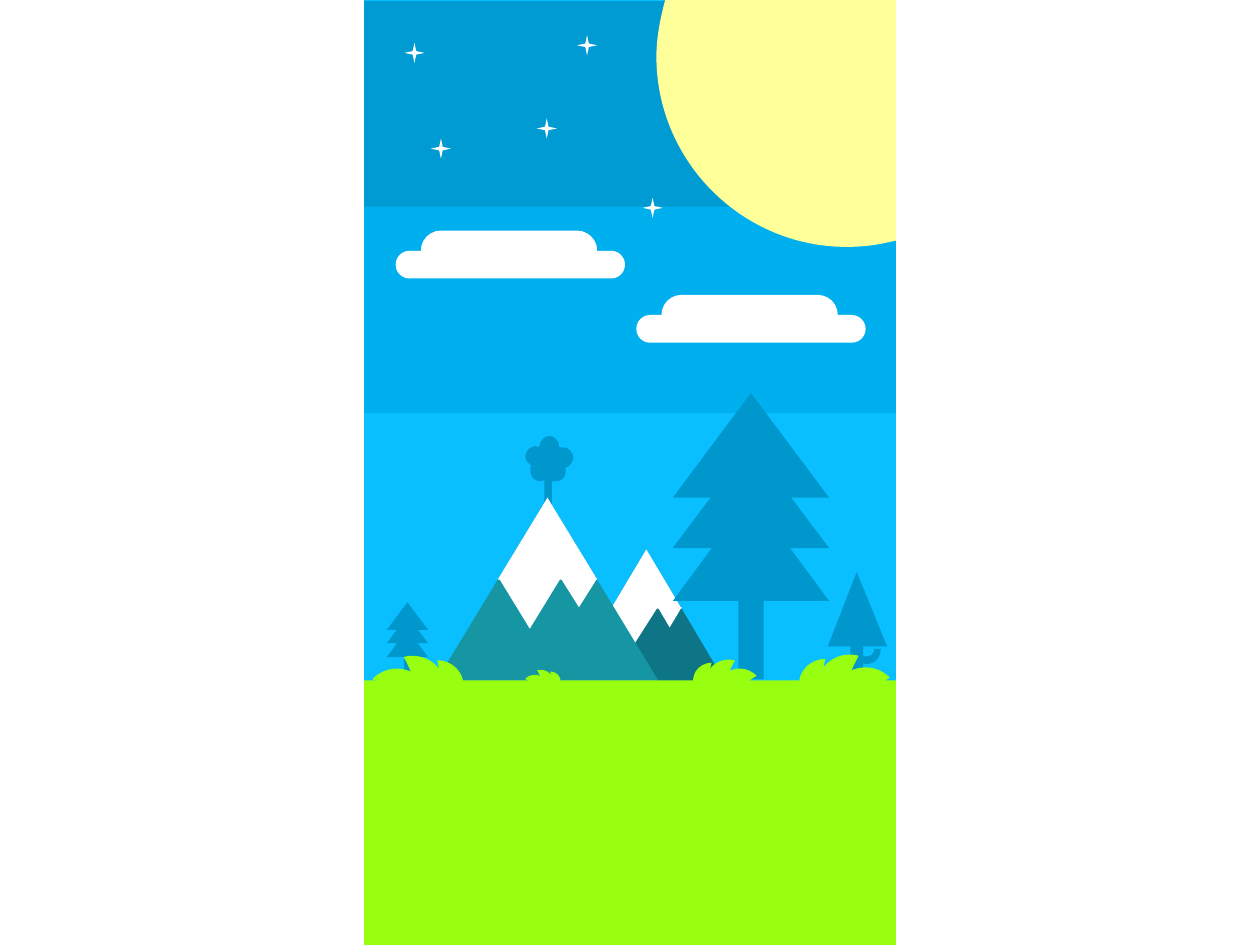
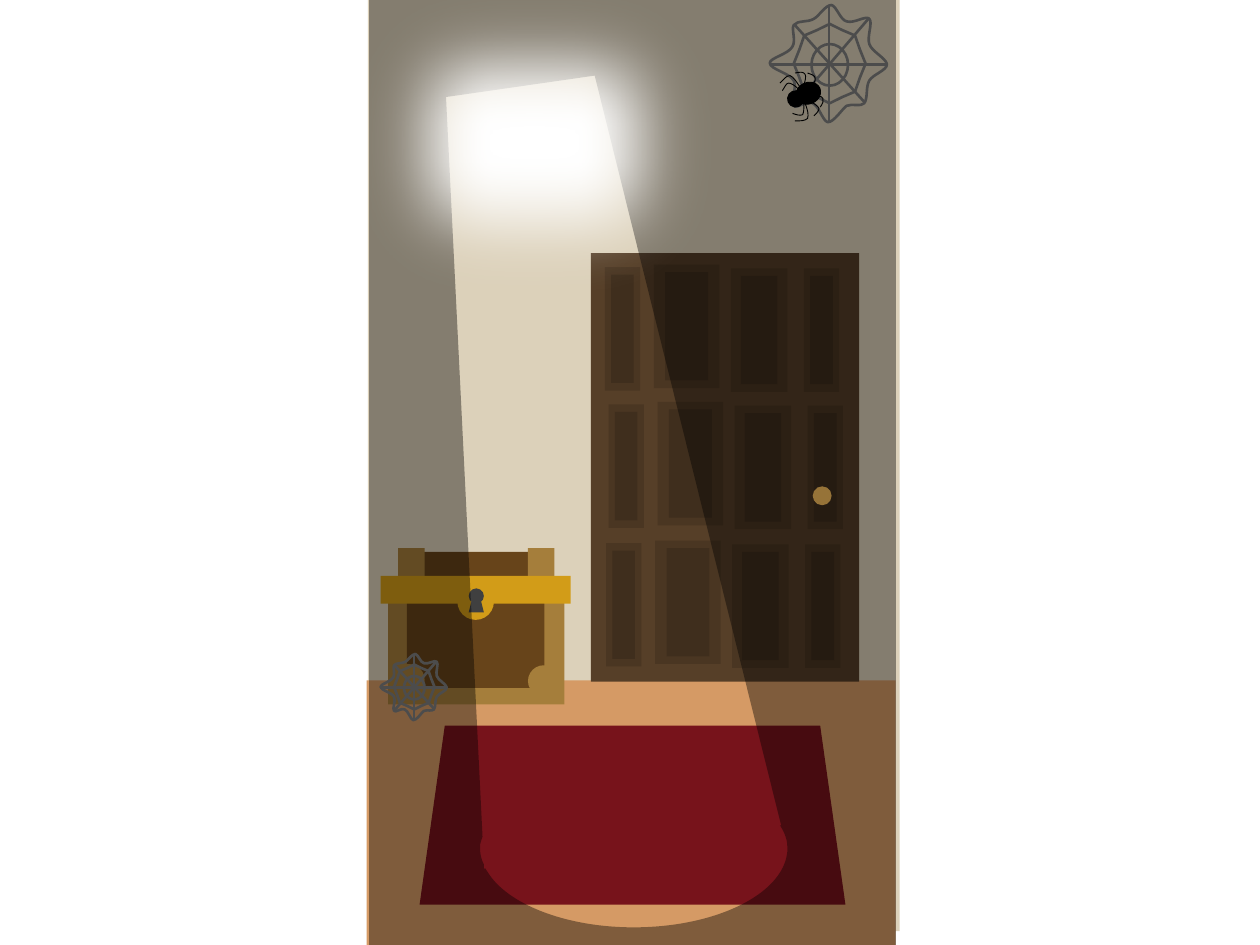
from dataclasses import dataclass

from lxml import etree
from pptx import Presentation
from pptx.dml.color import RGBColor
from pptx.enum.shapes import MSO_CONNECTOR, MSO_SHAPE
from pptx.oxml.ns import qn
from pptx.util import Cm, Pt

RECTANGLE = MSO_SHAPE.RECTANGLE
ROUNDED = MSO_SHAPE.ROUNDED_RECTANGLE
TRIANGLE = MSO_SHAPE.ISOSCELES_TRIANGLE
TRAPEZOID = MSO_SHAPE.TRAPEZOID
OVAL = MSO_SHAPE.OVAL
MOON = MSO_SHAPE.MOON
STAR_4 = MSO_SHAPE.STAR_4_POINT
STAR_8 = MSO_SHAPE.STAR_8_POINT
STRAIGHT = MSO_CONNECTOR.STRAIGHT

BLANK_LAYOUT = 6
GRID = 2.54  # centimetres in one drawing unit


@dataclass(frozen=True)
class Theme:
    white: str = "FFFFFF"
    black: str = "000000"
    # Meadow
    sky_low: str = "09BFFF"
    sky_high: str = "009BD2"
    sky_middle: str = "00B0EE"
    silhouette: str = "0097CC"
    mountain_near: str = "1696A3"
    mountain_far: str = "0E7586"
    grass: str = "99FF11"
    sun: str = "FFFF99"
    # Room
    wall: str = "DCD1BA"
    floor: str = "D59A65"
    door: str = "563F28"
    panel: str = "4A3622"
    panel_inner: str = "3F2E1D"
    knob: str = "FBC05E"
    rug: str = "77131B"
    chest: str = "67441A"
    chest_trim: str = "A57E3B"
    gold: str = "D29C18"
    keyhole: str = "404040"
    web: str = "808080"
    # Line weights in points
    web_weight: float = 1.5
    spider_weight: float = 0.5


THEME = Theme()


def length(units):
    return Cm(units * GRID)


def scaled(outline, left, top, scale):
    """Place an outline drawn from (0, 0) at a position and size."""
    return [tuple(value * scale + (top if index % 2 else left)
                  for index, value in enumerate(step)) for step in outline]


def bend(shape, steps):
    """Turn the segments whose step has 6 numbers into Bézier curves."""
    segments = [node for node in shape._element.iter(qn("a:moveTo"), qn("a:lnTo"))]
    for segment, step in zip(segments, steps):
        if len(step) == 6:
            curve = etree.Element(qn("a:cubicBezTo"))
            for x, y in zip(step[::2], step[1::2]):
                point = etree.SubElement(curve, qn("a:pt"))
                point.set("x", str(length(x) - shape.left))
                point.set("y", str(length(y) - shape.top))
            segment.getparent().replace(segment, curve)


class Scene:
    def __init__(self, presentation, theme):
        self.presentation = presentation
        self.theme = theme
        self.shapes = None

    def new_slide(self):
        slide = self.presentation.slides.add_slide(
            self.presentation.slide_layouts[BLANK_LAYOUT])
        self.shapes = slide.shapes.add_group_shape().shapes

    def style(self, shape, fill, line, weight):
        shape.shadow.inherit = False
        if fill:
            shape.fill.solid()
            shape.fill.fore_color.rgb = RGBColor.from_string(fill)
        else:
            shape.fill.background()
        if line:
            shape.line.color.rgb = RGBColor.from_string(line)
            shape.line.width = Pt(weight)
        else:
            shape.line.fill.background()

    def shape(self, kind, box, fill=None, line=None, weight=1.0,
              adjust=None, rotation=0, flip=None):
        shape = self.shapes.add_shape(kind, *map(length, box))
        self.style(shape, fill, line, weight)
        if adjust is not None:
            shape.adjustments[0] = adjust
        shape.rotation = rotation
        if flip:
            shape._element.spPr.find(qn("a:xfrm")).set(flip, "1")
        return shape

    def outline(self, *contours, fill=None, line=None, weight=1.0, close=True):
        """Draw contours made of steps: 2 numbers for a line, 6 for a curve."""
        paths = [[tuple(map(length, step[-2:])) for step in contour]
                 for contour in contours]
        builder = self.shapes.build_freeform(*paths[0][0], scale=1.0)
        builder.add_line_segments(paths[0][1:], close=close)
        for path in paths[1:]:
            builder.move_to(*path[0])
            builder.add_line_segments(path[1:], close=close)
        shape = builder.convert_to_shape()
        bend(shape, [step for contour in contours for step in contour])
        self.style(shape, fill, line, weight)
        return shape

    def line(self, start, end, color, weight):
        connector = self.shapes.add_connector(STRAIGHT, *map(length, start + end))
        connector.line.color.rgb = RGBColor.from_string(color)
        connector.line.width = Pt(weight)
        etree.SubElement(connector._element.spPr, qn("a:effectLst"))

    def set_opacity(self, shape, percent):
        color = shape._element.spPr.find(qn("a:solidFill"))[0]
        etree.SubElement(color, qn("a:alpha")).set("val", str(percent * 1000))

    def soften(self, shape, radius):
        effects = shape._element.spPr.find(qn("a:effectLst"))
        etree.SubElement(effects, qn("a:softEdge")).set("rad", str(length(radius)))

    # Things that repeat
    def pine(self, left, top, scale):
        self.outline(scaled(PINE, left, top, scale), fill=self.theme.silhouette)

    def mountain(self, body, color, cap, teeth):
        self.shape(TRIANGLE, body, color)
        self.shape(TRIANGLE, cap, self.theme.white)
        for tooth in teeth:
            self.shape(TRIANGLE, tooth, self.theme.white, flip="flipV")

    def bush(self, edge, top, scale, mirrored=False):
        for offset, rise, width, height, angle in BLADES:
            left = edge + offset * scale
            if mirrored:
                left = edge - (offset + width) * scale
            self.shape(MOON, (left, top - rise * scale, width * scale, height * scale),
                       self.theme.grass, adjust=0.875,
                       rotation=360 - angle if mirrored else angle,
                       flip="flipH" if mirrored else None)

    def cloud(self, left, top):
        for box in ((left, top, 1.82, 0.22), (left + 0.2, top - 0.16, 1.4, 0.32)):
            self.shape(ROUNDED, box, self.theme.white, adjust=0.5)

    def web(self, left, top, scale):
        pen = {"line": self.theme.web, "weight": self.theme.web_weight}
        rings = ((STAR_8, (0.19, 0.15), (0.57, 0.63), 0.457),
                 (OVAL, (0.33, 0.31), (0.29, 0.33), None))
        for kind, corner, size, adjust in rings:
            box = scaled([corner], left, top, scale)[0] + tuple(s * scale for s in size)
            self.shape(kind, box, adjust=adjust, **pen)
        for spoke in WEB_SPOKES:
            start, end = scaled(spoke, left, top, scale)
            self.line(start, end, self.theme.web, self.theme.web_weight)
        self.outline(scaled(WEB_EDGE, left, top, scale), **pen)


PINE = [(0.62, 0), (1.24, 0.83), (0.94, 0.83), (1.24, 1.23), (0.93, 1.23),
        (1.24, 1.65), (0.72, 1.65), (0.72, 2.27), (0.52, 2.27), (0.52, 1.65),
        (0, 1.65), (0.31, 1.23), (0, 1.23), (0.3, 0.83), (0, 0.83)]

# Offset, rise, width, height, angle
BLADES = [(0, 0, 0.21, 0.41, 0), (0.14, 0.07, 0.27, 0.54, 15),
          (0.3, 0.03, 0.27, 0.54, 45.8)]

SMOKE = [
    (4.36, 3.46), (4.4, 3.46, 4.44, 3.5, 4.44, 3.55), (4.47, 3.55),
    (4.51, 3.55, 4.55, 3.59, 4.55, 3.63), (4.55, 3.66, 4.53, 3.69, 4.5, 3.71),
    (4.48, 3.71), (4.49, 3.72), (4.49, 3.73, 4.49, 3.73, 4.49, 3.74),
    (4.49, 3.79, 4.46, 3.82, 4.41, 3.82), (4.38, 3.82), (4.38, 4.04),
    (4.32, 4.04), (4.32, 3.81), (4.31, 3.82, 4.3, 3.82, 4.29, 3.82),
    (4.24, 3.82, 4.21, 3.78, 4.21, 3.74), (4.21, 3.73, 4.21, 3.72, 4.21, 3.71),
    (4.22, 3.7), (4.2, 3.68), (4.18, 3.67, 4.17, 3.65, 4.17, 3.62),
    (4.17, 3.58, 4.21, 3.54, 4.25, 3.54), (4.28, 3.55),
    (4.28, 3.5, 4.32, 3.46, 4.36, 3.46)]

HOOKED_TREE = [
    (6.8, 4.54), (7.04, 5.13), (6.85, 5.13), (6.85, 5.2), (6.86, 5.21),
    (6.86, 5.21, 6.87, 5.21, 6.88, 5.21), (6.91, 5.21, 6.94, 5.19, 6.94, 5.15),
    (6.99, 5.15), (6.99, 5.22, 6.94, 5.27, 6.88, 5.27),
    (6.87, 5.27, 6.86, 5.27, 6.86, 5.27), (6.85, 5.26),
    (6.85, 5.4), (6.75, 5.4), (6.75, 5.13), (6.57, 5.13)]

SUN = [(5.28, 0), (7.11, 0), (7.11, 1.91), (7.02, 1.93),
       (6.93, 1.95, 6.82, 1.96, 6.72, 1.96), (5.89, 1.96, 5.21, 1.28, 5.21, 0.45),
       (5.21, 0.3, 5.24, 0.15, 5.28, 0)]

STARS = [(4.26, 0.94), (3.21, 0.34), (4.58, 0.28), (3.42, 1.1), (5.1, 1.57)]

WEB_SPOKES = [[(0, 0.47), (0.93, 0.47)], [(0.47, 0.01), (0.47, 0.92)],
              [(0.19, 0.8), (0.79, 0.1)], [(0.19, 0.15), (0.75, 0.77)]]

WEB_EDGE = [
    (0.19, 0.16), (0.22, 0.12, 0.3, 0.14, 0.35, 0.11), (0.39, 0.09, 0.44, 0, 0.49, 0),
    (0.53, 0.01, 0.56, 0.12, 0.61, 0.13), (0.67, 0.15, 0.76, 0.08, 0.79, 0.11),
    (0.82, 0.14, 0.77, 0.25, 0.79, 0.31), (0.81, 0.37, 0.92, 0.42, 0.93, 0.47),
    (0.93, 0.52, 0.82, 0.55, 0.79, 0.6), (0.76, 0.65, 0.78, 0.74, 0.75, 0.78),
    (0.72, 0.81, 0.66, 0.78, 0.61, 0.8), (0.57, 0.83, 0.51, 0.93, 0.46, 0.93),
    (0.42, 0.92, 0.39, 0.8, 0.34, 0.78), (0.3, 0.75, 0.21, 0.83, 0.19, 0.8),
    (0.16, 0.77, 0.22, 0.66, 0.19, 0.6), (0.16, 0.54, 0, 0.51, 0, 0.46),
    (0, 0.42, 0.15, 0.39, 0.18, 0.33), (0.21, 0.28, 0.17, 0.19, 0.19, 0.16)]

# Left, top, width, side inset of each column; shift of each row
DOOR_COLUMNS = [(4.8, 2.12, 0.28, 0.05), (5.19, 2.1, 0.52, 0.09),
                (5.8, 2.13, 0.45, 0.08), (6.38, 2.13, 0.28, 0.05)]
DOOR_ROWS = [(0, 0), (0.03, 1.09), (0.01, 2.19)]

SPIDER_LEGS = [
    [(6.39, 0.82), (6.41, 0.87, 6.42, 0.91, 6.41, 0.94), (6.39, 0.96, 6.35, 0.96, 6.31, 0.96)],
    [(6.42, 0.8), (6.46, 0.82, 6.49, 0.84, 6.5, 0.86), (6.5, 0.88, 6.48, 0.9, 6.46, 0.92)],
    [(6.44, 0.75), (6.48, 0.76, 6.52, 0.76, 6.53, 0.78), (6.54, 0.8, 6.53, 0.82, 6.51, 0.85)],
    [(6.35, 0.69), (6.32, 0.65, 6.3, 0.61, 6.27, 0.6), (6.24, 0.6, 6.22, 0.63, 6.19, 0.66)],
    [(6.38, 0.68), (6.39, 0.64, 6.4, 0.61, 6.39, 0.59), (6.38, 0.57, 6.35, 0.57, 6.31, 0.58)],
    [(6.43, 0.7), (6.45, 0.67, 6.48, 0.64, 6.47, 0.62), (6.47, 0.6, 6.44, 0.59, 6.41, 0.58)],
    [(6.34, 0.71), (6.31, 0.68, 6.28, 0.66, 6.26, 0.66), (6.24, 0.66, 6.23, 0.69, 6.21, 0.72)],
    [(6.38, 0.82), (6.38, 0.86, 6.38, 0.89, 6.37, 0.91), (6.35, 0.92, 6.32, 0.91, 6.29, 0.9)]]

LIGHT_BEAM = [
    (4.72, 0.6), (3.54, 0.77), (3.83, 6.64), (3.82, 6.67),
    (3.81, 6.69, 3.81, 6.71, 3.81, 6.73), (3.81, 6.78, 3.82, 6.82, 3.84, 6.86),
    (3.84, 6.9), (3.85, 6.89), (3.87, 6.92), (4.02, 7.17, 4.48, 7.36, 5.03, 7.36),
    (5.7, 7.36, 6.25, 7.08, 6.25, 6.73), (6.25, 6.67, 6.23, 6.61, 6.19, 6.55), (6.2, 6.55)]
ROOM_FRAME = [(2.93, -0.01), (7.11, -0.01), (7.11, 7.5), (2.93, 7.5)]


def draw_meadow(scene):
    theme = scene.theme
    scene.new_slide()
    # Sky
    scene.shape(RECTANGLE, (2.89, 0, 4.22, 7.4), theme.sky_low)
    scene.shape(RECTANGLE, (2.89, 0.01, 4.22, 1.64), theme.sky_high)
    scene.shape(RECTANGLE, (2.89, 1.64, 4.22, 1.64), theme.sky_middle)
    # Mountains and trees
    scene.outline(SMOKE, fill=theme.silhouette)
    scene.mountain((4.5, 4.36, 1.26, 1.06), theme.mountain_far, (4.85, 4.36, 0.56, 0.47),
                   [(4.85, 4.82, 0.37, 0.29), (5.22, 4.82, 0.19, 0.16)])
    scene.mountain((3.46, 3.95, 1.77, 1.46), theme.mountain_near, (3.95, 3.95, 0.79, 0.65),
                   [(3.96, 4.59, 0.49, 0.4), (4.45, 4.59, 0.29, 0.23)])
    scene.pine(3.07, 4.78, 0.264)
    scene.pine(5.34, 3.12, 1)
    scene.outline(HOOKED_TREE, fill=theme.silhouette)
    # Grass
    scene.shape(RECTANGLE, (2.89, 5.4, 4.22, 2.1), theme.grass)
    scene.bush(3.68, 5.24, 1, mirrored=True)
    scene.bush(6.34, 5.23, 1)
    scene.bush(4.45, 5.33, 0.39, mirrored=True)
    scene.bush(5.5, 5.26, 0.7)
    # Sun, clouds and stars
    scene.outline(SUN, fill=theme.sun)
    scene.cloud(5.05, 2.5)
    scene.cloud(3.14, 1.99)
    for left, top in STARS:
        scene.shape(STAR_4, (left, top, 0.16, 0.16), theme.white)


def draw_room(scene):
    theme = scene.theme
    scene.new_slide()
    scene.shape(RECTANGLE, (2.92, -0.01, 4.22, 7.4), theme.wall)
    scene.shape(RECTANGLE, (2.91, 5.4, 4.2, 2.1), theme.floor)
    # Door
    scene.shape(RECTANGLE, (4.69, 2.01, 2.13, 3.4), theme.door)
    for left, top, width, inset in DOOR_COLUMNS:
        for shift, drop in DOOR_ROWS:
            x, y = left + shift, top + drop
            scene.shape(RECTANGLE, (x, y, width, 0.98), theme.panel)
            scene.shape(RECTANGLE, (x + inset, y + 0.06, width - 2 * inset, 0.86),
                        theme.panel_inner)
    scene.shape(OVAL, (6.45, 3.86, 0.15, 0.15), theme.knob)
    # Rug and chest
    scene.shape(TRAPEZOID, (3.33, 5.76, 3.38, 1.42), theme.rug, adjust=0.141)
    for kind, box, color in (
            (RECTANGLE, (3.08, 4.74, 1.4, 0.85), theme.chest_trim),
            (RECTANGLE, (3.23, 4.74, 1.09, 0.72), theme.chest),
            (OVAL, (3.12, 5.27, 0.25, 0.25), theme.chest_trim),
            (OVAL, (4.19, 5.28, 0.25, 0.25), theme.chest_trim),
            (RECTANGLE, (3.29, 4.38, 1.04, 0.31), theme.chest),
            (RECTANGLE, (3.16, 4.35, 0.21, 0.31), theme.chest_trim),
            (RECTANGLE, (4.19, 4.35, 0.21, 0.31), theme.chest_trim),
            (RECTANGLE, (3.02, 4.57, 1.51, 0.22), theme.gold),
            (OVAL, (3.63, 4.63, 0.29, 0.29), theme.gold),
            (OVAL, (3.72, 4.67, 0.12, 0.12), theme.keyhole),
            (TRAPEZOID, (3.72, 4.76, 0.12, 0.1), theme.keyhole)):
        scene.shape(kind, box, color)
    # Webs and spider
    scene.web(6.11, 0.04, 1)
    scene.web(3.02, 5.19, 0.565)
    pen = {"line": theme.black, "weight": theme.spider_weight}
    for leg in SPIDER_LEGS:
        scene.outline(leg, close=False, **pen)
    for box in ((6.25, 0.72, 0.13, 0.13), (6.33, 0.64, 0.17, 0.2)):
        scene.shape(OVAL, box, theme.black, rotation=66.4, **pen)
    # Darkness around the beam, and the glow
    scene.set_opacity(scene.outline(LIGHT_BEAM, ROOM_FRAME, fill=theme.black), 40)
    scene.soften(scene.shape(RECTANGLE, (2.53, -0.36, 3.42, 2.98), theme.white), 0.69)


def main():
    presentation = Presentation()
    presentation.slide_width = Cm(25.4)
    presentation.slide_height = Cm(19.05)
    scene = Scene(presentation, THEME)
    draw_meadow(scene)
    draw_room(scene)
    presentation.save("out.pptx")


if __name__ == "__main__":
    main()
